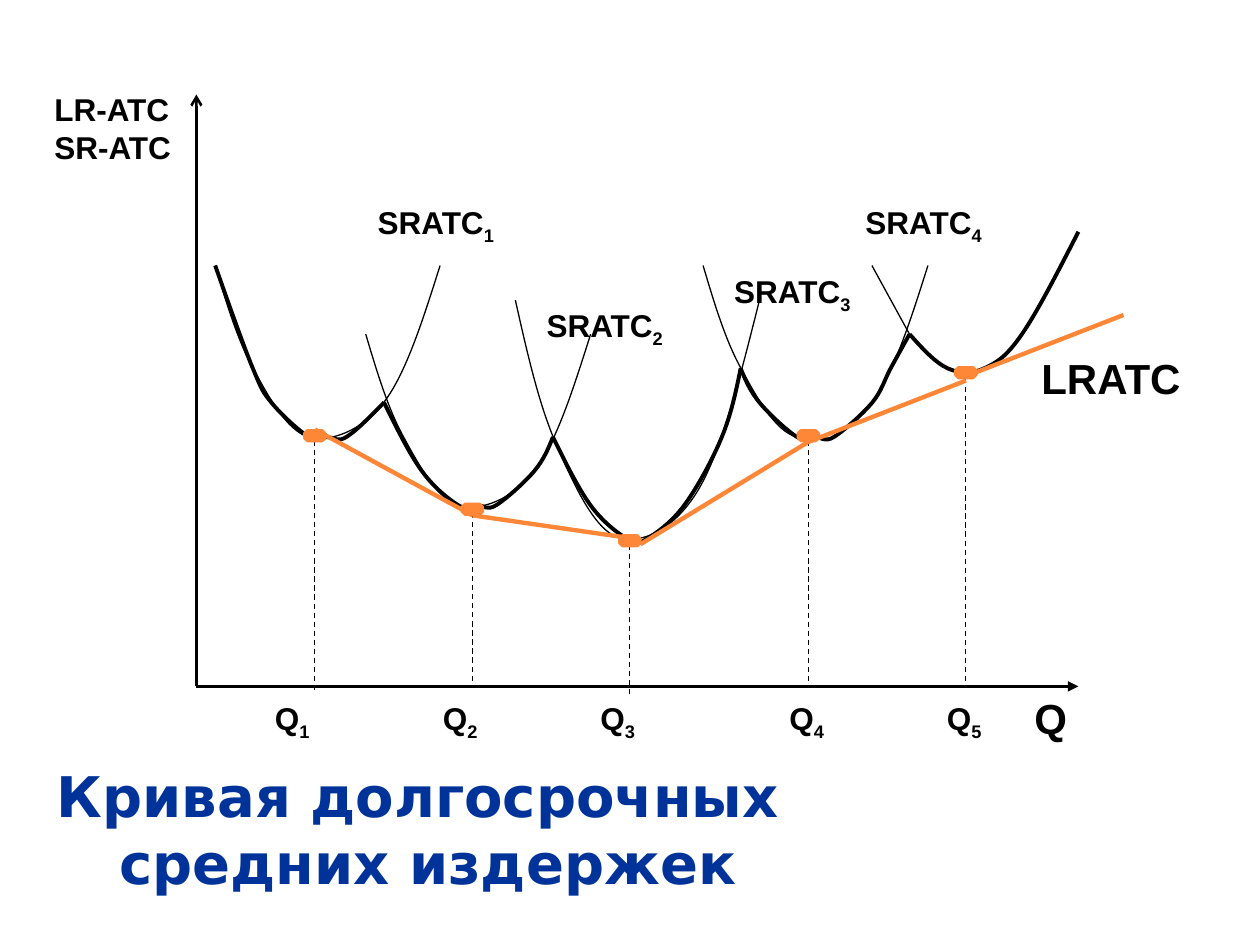
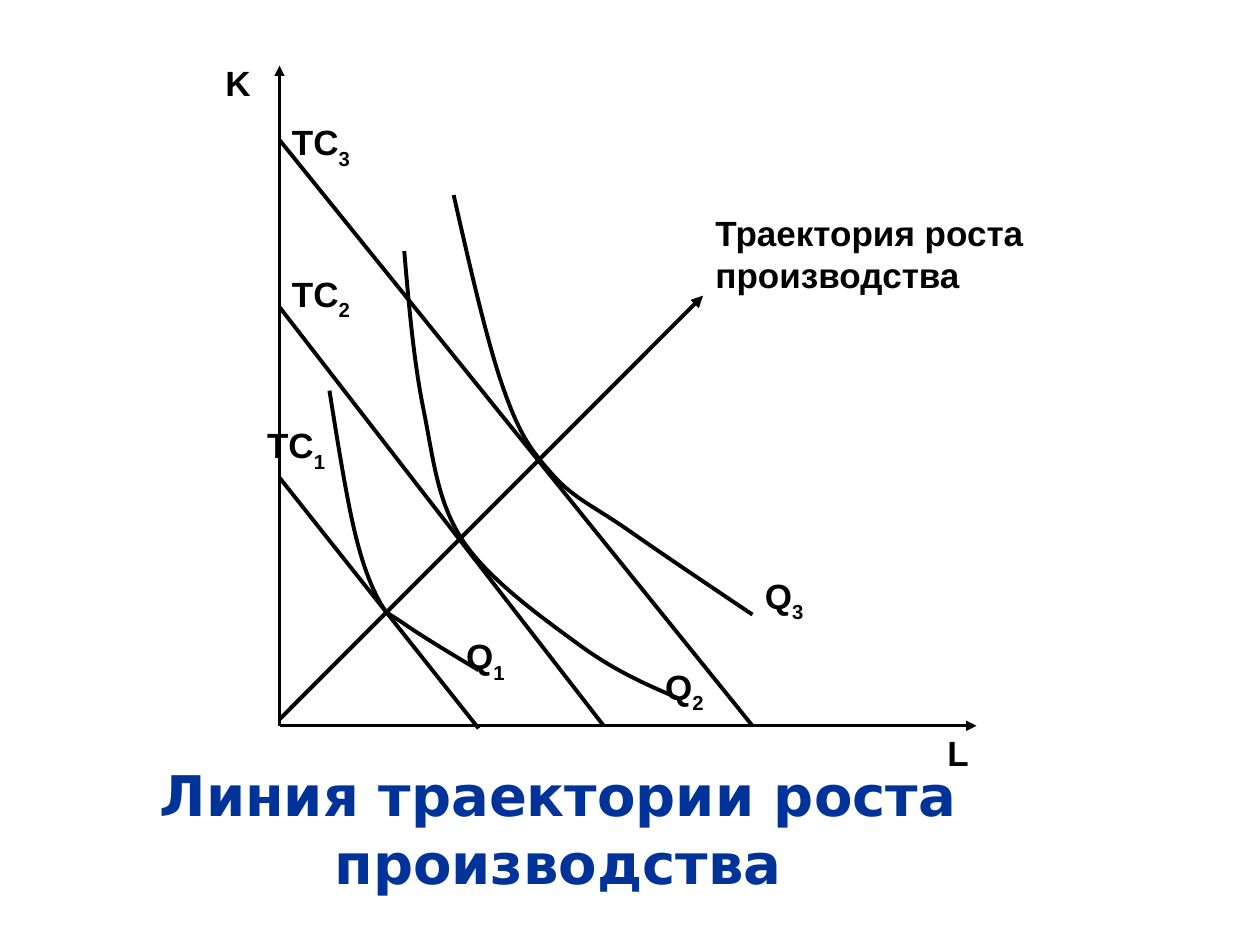
from lxml import etree
from pptx import Presentation
from pptx.dml.color import RGBColor
from pptx.enum.dml import MSO_LINE
from pptx.enum.shapes import MSO_CONNECTOR, MSO_SHAPE
from pptx.enum.text import MSO_ANCHOR, PP_ALIGN
from pptx.oxml.ns import qn
from pptx.util import Pt

BLACK, WHITE, ORANGE, BLUE = "000000", "FFFFFF", "FE8637", "003399"
THIN, AXIS, THICK, LONG_RUN = 0.75, 1.5, 2.25, 2.5


def rgb(color):
    return RGBColor.from_string(color)


def set_line(shape, width, color):
    shape.line.width = Pt(width)
    shape.line.color.rgb = rgb(color)


def add_line(s, start, end, width, color=BLACK, dash=False, head=None, tail=None):
    cxn = s.shapes.add_connector(MSO_CONNECTOR.STRAIGHT, *map(Pt, start + end))
    set_line(cxn, width, color)
    if dash:
        cxn.line.dash_style = MSO_LINE.DASH
    ln = cxn.line._get_or_add_ln()
    for tag, kind in (("a:headEnd", head), ("a:tailEnd", tail)):
        if kind:
            etree.SubElement(ln, qn(tag), type=kind)
    etree.SubElement(cxn._element.spPr, qn("a:effectLst"))


def bezier_points(knots):
    """First knot, then two controls and a knot per segment of a Catmull-Rom curve."""
    def middle(p, q):
        return tuple((a + b) / 2 for a, b in zip(p, q))

    def control(i, sign):
        return tuple(k + sign * (b - a) / 6
                     for k, a, b in zip(knots[i], knots[i - 1], knots[i + 1]))

    last = len(knots) - 1
    points = [knots[0]]
    for i in range(last):
        c1 = control(i, 1) if i else None
        c2 = control(i + 1, -1) if i + 1 < last else middle(c1, knots[last])
        points += [c1 or middle(knots[0], c2), c2, knots[i + 1]]
    return points


def add_curve(s, knots, width):
    points = [(Pt(x), Pt(y)) for x, y in bezier_points(knots)]
    builder = s.shapes.build_freeform(*points[0])
    builder.add_line_segments(points[1:], close=False)
    sp = builder.convert_to_shape()
    path = sp._element.find(".//" + qn("a:path"))
    lines = path.findall(qn("a:lnTo"))
    for i in range(0, len(lines), 3):
        bezier = etree.SubElement(path, qn("a:cubicBezTo"))
        for line in lines[i:i + 3]:
            bezier.append(line[0])
            path.remove(line)
    sp.shadow.inherit = False
    sp.fill.background()
    set_line(sp, width, BLACK)


def add_text(s, box, lines, size, font="Arial", color=BLACK, sub="", drop=25):
    """Bold text box; sub is a subscript after the last line, lowered by drop percent."""
    sp = s.shapes.add_textbox(*map(Pt, box))
    tf = sp.text_frame
    tf.word_wrap = True
    for i, line in enumerate(lines):
        p = tf.add_paragraph() if i else tf.paragraphs[0]
        p.add_run().text = line
        p.font.size, p.font.name, p.font.bold = Pt(size), font, True
        p.font.color.rgb = rgb(color)
    if sub:
        r = p.add_run()
        r.text = sub
        r._r.get_or_add_rPr().set("baseline", str(-1000 * drop))
    return sp


def add_title(s, box, lines, bottom=3.6):
    tf = add_text(s, box, lines, 32, "DejaVu Sans", BLUE).text_frame
    tf.vertical_anchor = MSO_ANCHOR.MIDDLE
    tf.margin_bottom = Pt(bottom)
    for p in tf.paragraphs:
        p.alignment = PP_ALIGN.CENTER


def add_label(s, left, top, width, text, sub="", height=47.5):
    sp = add_text(s, (left, top, width, height), [text], 20, sub=sub, drop=30)
    sp.fill.solid()
    sp.fill.fore_color.rgb = rgb(WHITE)


def add_minimum(s, x, y):
    sp = s.shapes.add_shape(MSO_SHAPE.OCTAGON, Pt(x - 6), Pt(y), Pt(12), Pt(6))
    sp.shadow.inherit = False
    sp.fill.solid()
    sp.fill.fore_color.rgb = rgb(ORANGE)
    set_line(sp, AXIS, ORANGE)


def build_long_run_costs(s):
    origin = (112.25, 392.25)
    add_line(s, (112.25, 54), origin, AXIS, head="arrow")
    add_line(s, origin, (616.25, 392.25), AXIS, tail="triangle")

    short_run = [(0, 0), (21.5, 58.5), (53.5, 98), (96.5, 78), (128.5, 0)]
    for x, y in ((123, 151.75), (209, 191), (401.75, 151.75)):
        add_curve(s, [(x + dx, y + dy) for dx, dy in short_run], THIN)
    add_curve(s, [(294.5, 171.5), (317.5, 253), (353, 307), (399, 280), (434, 171.5)], THIN)

    envelope = [
        [(123, 151.75), (144.5, 210.5), (155.5, 230.5), (176.5, 249.75), (187, 249.75),
         (198, 249.75), (219.5, 230)],
        [(219.5, 230), (241, 269), (262, 288.75), (273, 288.75), (283.5, 288.75),
         (305.5, 269), (316, 249.75)],
        [(316, 249.75), (337.5, 288.75), (358.5, 308), (369.5, 308), (391, 288.75),
         (412.5, 249.75), (423.25, 210.5)],
        [(423.25, 210.5), (434, 230), (455.5, 249.75), (466, 249.75), (476.5, 249.75),
         (498.5, 230), (509, 210.5), (519.75, 191)],
        [(519.75, 191), (541.5, 210.5), (562.5, 210.5), (584, 191), (616.25, 132.5)],
    ]
    for knots in envelope:
        add_curve(s, knots, THICK)
    add_line(s, (519.75, 191), (498.25, 151.75), THIN)

    add_text(s, (584, 392.25, 53, 58), ["Q"], 24)
    add_text(s, (24, 48, 86, 98), ["LR-ATC", "SR-ATC"], 18)
    for i, (x, y) in enumerate([(208.75, 112.5), (305.25, 171.5), (412.5, 152),
                                (487.5, 112.5)], 1):
        add_text(s, (x, y, 86, 78.5), ["SRATC"], 18, sub=str(i))

    # centre, marker top, ends of the dashed line, left of the label
    minima = [(179.9, 246, 252, 396, 150), (269.9, 288, 288, 390, 246),
              (359.9, 306, 306, 397.5, 336), (461.9, 246, 252, 393, 444),
              (551.9, 210, 216, 390, 534)]
    for i, (x, marker, top, foot, left) in enumerate(minima, 1):
        add_line(s, (x, top), (x, foot), THIN, dash=True)
        add_text(s, (left, 396, 53, 58), ["Q"], 18, sub=str(i))
        add_minimum(s, x, marker)

    for start, end in [((180, 245.5), (270, 294.5)), ((270, 294.5), (360, 307.5)),
                       ((366, 311), (462, 252.5)), ((462, 252.5), (552, 217.5)),
                       ((552, 215), (642, 180))]:
        add_line(s, start, end, LONG_RUN, ORANGE)
    add_text(s, (588, 198, 102, 78.5), ["LRATC"], 24)
    add_title(s, (24, 431, 441, 85), ["Кривая долгосрочных ", "средних издержек"])


def build_growth_path(s):
    origin = (159.75, 414.75)
    for left, top, width, text, sub in [
            (159.75, 65.5, 57, "ТС", "3"), (159.75, 152, 71, "ТС", "2"),
            (259.25, 359.25, 57, "Q", "1"), (430, 324.75, 57, "Q", "3"),
            (121.75, 31.5, 42.5, "K", ""), (534.25, 414.75, 42.5, "L", ""),
            (373, 376.5, 57, "Q", "2"), (145.5, 238.5, 57, "ТС", "1")]:
        add_label(s, left, top, width, text, sub)

    add_line(s, (159.75, 37.5), origin, AXIS, head="triangle")
    add_line(s, origin, (558, 414.75), AXIS, tail="triangle")
    for top, foot in [(175.5, (345, 414.75)), (273, (273.5, 416.25)), (80, (430, 414.75))]:
        add_line(s, (159.75, top), foot, THICK)
    for isoquant in [
            [(231, 143.5), (242, 234), (264.5, 309), (331, 368.5), (387.5, 399)],
            [(259.25, 111.5), (288, 223), (316, 271.5), (359, 303), (430, 351.25)],
            [(188.25, 223.25), (202.5, 303), (216.5, 343), (231, 356.5), (273.5, 383)]]:
        add_curve(s, isoquant, THICK)
    add_line(s, (159.75, 411), (401.75, 169), THICK, tail="triangle")
    add_label(s, 401.75, 117.5, 242, "Траектория роста производства", height=103.5)
    add_title(s, (24, 417.5, 590, 122.5), ["Линия траектории роста производства"], bottom=14.5)


def main():
    prs = Presentation()
    prs.slide_width, prs.slide_height = Pt(720), Pt(540)
    for build in (build_long_run_costs, build_growth_path):
        build(prs.slides.add_slide(prs.slide_layouts[6]))
    prs.save("out.pptx")


if __name__ == "__main__":
    main()
